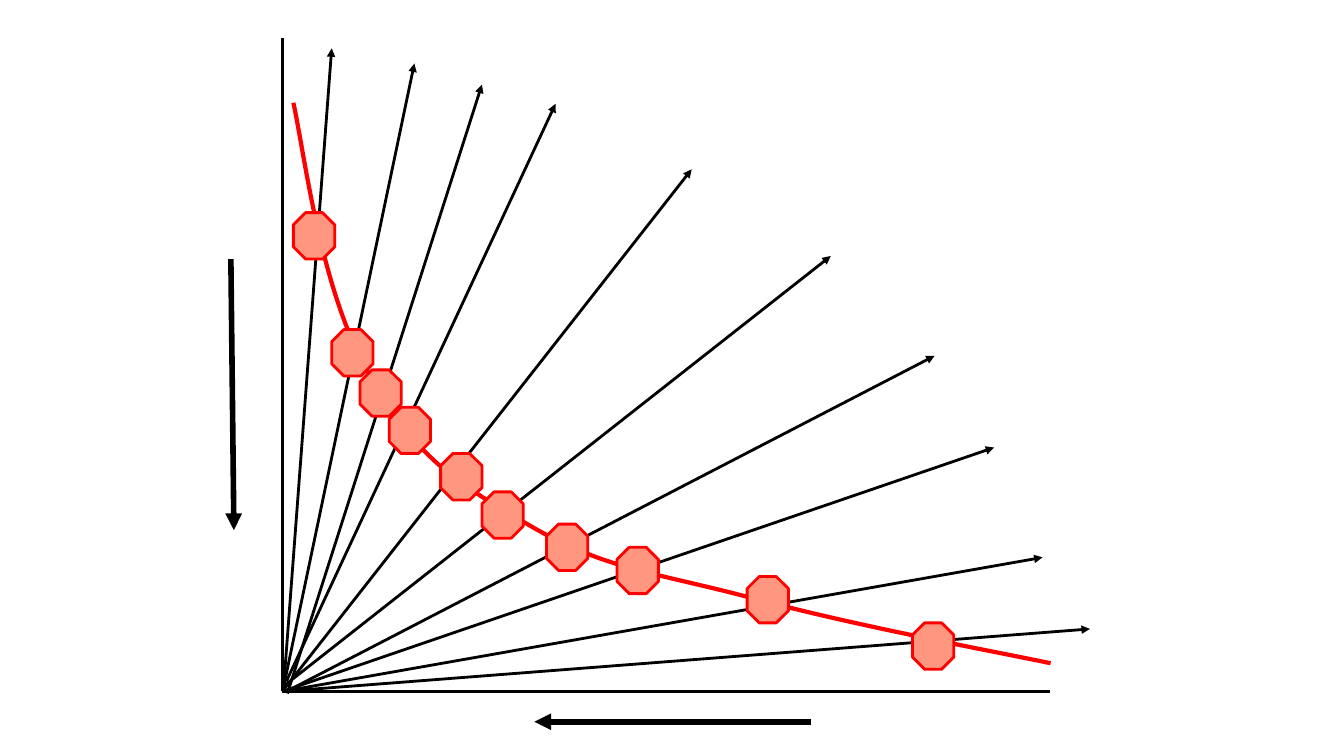
from dataclasses import dataclass
from typing import NamedTuple

import pptx
import pptx.dml.color
import pptx.enum.shapes
import pptx.oxml
import pptx.oxml.ns
import pptx.util
from pptx.util import Inches


class Point(NamedTuple):
    x: float
    y: float


class Stroke(NamedTuple):
    start: Point
    end: Point
    weight: float
    arrow: bool = True


@dataclass(frozen=True)
class Theme:
    ink: str = "000000"
    curve: str = "FF0000"
    marker: str = "FF967F"
    thin: float = 2
    medium: float = 3
    thick: float = 4


THEME = Theme()
MARKER_WIDTH, MARKER_HEIGHT = 0.41, 0.46
CORNER_CUT = 0.293
STEPS_PER_BEZIER = 24

AXES = [
    Stroke(Point(2.8, 0.38), Point(2.8, 6.86), THEME.thin, arrow=False),
    Stroke(Point(2.81, 6.86), Point(10.41, 6.86), THEME.thin, arrow=False),
]
DIRECTIONS = [
    Stroke(Point(8.04, 7.16), Point(5.3, 7.16), THEME.thick),
    Stroke(Point(2.29, 2.57), Point(2.32, 5.26), THEME.thick),
]
RAYS = [
    Stroke(Point(*start), Point(*end), THEME.thin)
    for start, end in [
        ((2.81, 6.86), (3.29, 0.48)),
        ((2.82, 6.78), (4.11, 0.63)),
        ((2.85, 6.88), (4.78, 0.84)),
        ((2.84, 6.76), (5.51, 1.03)),
        ((2.8, 6.86), (6.86, 1.68)),
        ((2.81, 6.81), (8.24, 2.54)),
        ((2.84, 6.86), (9.27, 3.53)),
        ((2.8, 6.86), (9.86, 4.44)),
        ((2.8, 6.86), (10.34, 5.53)),
        ((2.8, 6.86), (10.81, 6.24)),
    ]
]
# Top left corners; the last marker overlaps both of its neighbours.
MARKERS = [
    Point(2.91, 2.11), Point(3.29, 3.27), Point(3.86, 4.04),
    Point(4.37, 4.5), Point(4.78, 4.88), Point(5.42, 5.2),
    Point(6.12, 5.43), Point(7.41, 5.72), Point(9.05, 6.18),
    Point(3.57, 3.67),
]
# A start point, then two control points and an end point per Bezier piece.
FRONTIER = [
    Point(2.91, 1.02),
    Point(3.02, 1.52), Point(3.17, 2.82), Point(3.63, 3.66),
    Point(4.1, 4.5), Point(4.45, 4.75), Point(5.23, 5.2),
    Point(6.01, 5.66), Point(6.48, 5.67), Point(7.52, 5.95),
    Point(8.55, 6.22), Point(9.84, 6.46), Point(10.42, 6.58),
]


def rgb(color: str) -> pptx.dml.color.RGBColor:
    return pptx.dml.color.RGBColor.from_string(color)


def style_line(line, color: str, weight: float) -> None:
    line.color.rgb = rgb(color)
    line.width = pptx.util.Pt(weight)


def bezier_point(controls: list[Point], t: float) -> Point:
    weights = ((1 - t) ** 3, 3 * t * (1 - t) ** 2, 3 * t**2 * (1 - t), t**3)
    return Point(
        sum(w * p.x for w, p in zip(weights, controls)),
        sum(w * p.y for w, p in zip(weights, controls)),
    )


def draw_frontier(shapes, controls: list[Point]) -> None:
    """Draw the chained Bezier pieces as one finely stepped open outline."""
    points = [
        bezier_point(controls[first:first + 4], step / STEPS_PER_BEZIER)
        for first in range(0, len(controls) - 1, 3)
        for step in range(1, STEPS_PER_BEZIER + 1)
    ]
    start = controls[0]
    builder = shapes.build_freeform(Inches(start.x), Inches(start.y))
    builder.add_line_segments(
        [(Inches(p.x), Inches(p.y)) for p in points], close=False
    )
    frontier = builder.convert_to_shape()
    frontier.shadow.inherit = False
    frontier.fill.background()
    style_line(frontier.line, THEME.curve, THEME.medium)


def draw_stroke(shapes, stroke: Stroke) -> None:
    connector = shapes.add_connector(
        pptx.enum.shapes.MSO_CONNECTOR.STRAIGHT,
        Inches(stroke.start.x), Inches(stroke.start.y),
        Inches(stroke.end.x), Inches(stroke.end.y),
    )
    style_line(connector.line, THEME.ink, stroke.weight)
    properties = connector._element.spPr
    if stroke.arrow:
        head = pptx.oxml.parse_xml(
            f'<a:tailEnd {pptx.oxml.ns.nsdecls("a")} type="triangle"/>'
        )
        properties.find(pptx.oxml.ns.qn("a:ln")).append(head)
    properties.append(
        pptx.oxml.parse_xml(f'<a:effectLst {pptx.oxml.ns.nsdecls("a")}/>')
    )


def draw_marker(shapes, corner: Point) -> None:
    marker = shapes.add_shape(
        pptx.enum.shapes.MSO_SHAPE.OCTAGON,
        Inches(corner.x), Inches(corner.y),
        Inches(MARKER_WIDTH), Inches(MARKER_HEIGHT),
    )
    marker.adjustments[0] = CORNER_CUT
    marker.shadow.inherit = False
    marker.fill.solid()
    marker.fill.fore_color.rgb = rgb(THEME.marker)
    style_line(marker.line, THEME.curve, THEME.thin)


def main() -> None:
    presentation = pptx.Presentation()
    presentation.slide_width = Inches(13.33)
    presentation.slide_height = Inches(7.5)
    blank_layout = presentation.slide_layouts[6]
    shapes = presentation.slides.add_slide(blank_layout).shapes

    draw_frontier(shapes, FRONTIER)
    for stroke in AXES + DIRECTIONS + RAYS:
        draw_stroke(shapes, stroke)
    for corner in MARKERS:
        draw_marker(shapes, corner)

    presentation.save("out.pptx")


if __name__ == "__main__":
    main()
